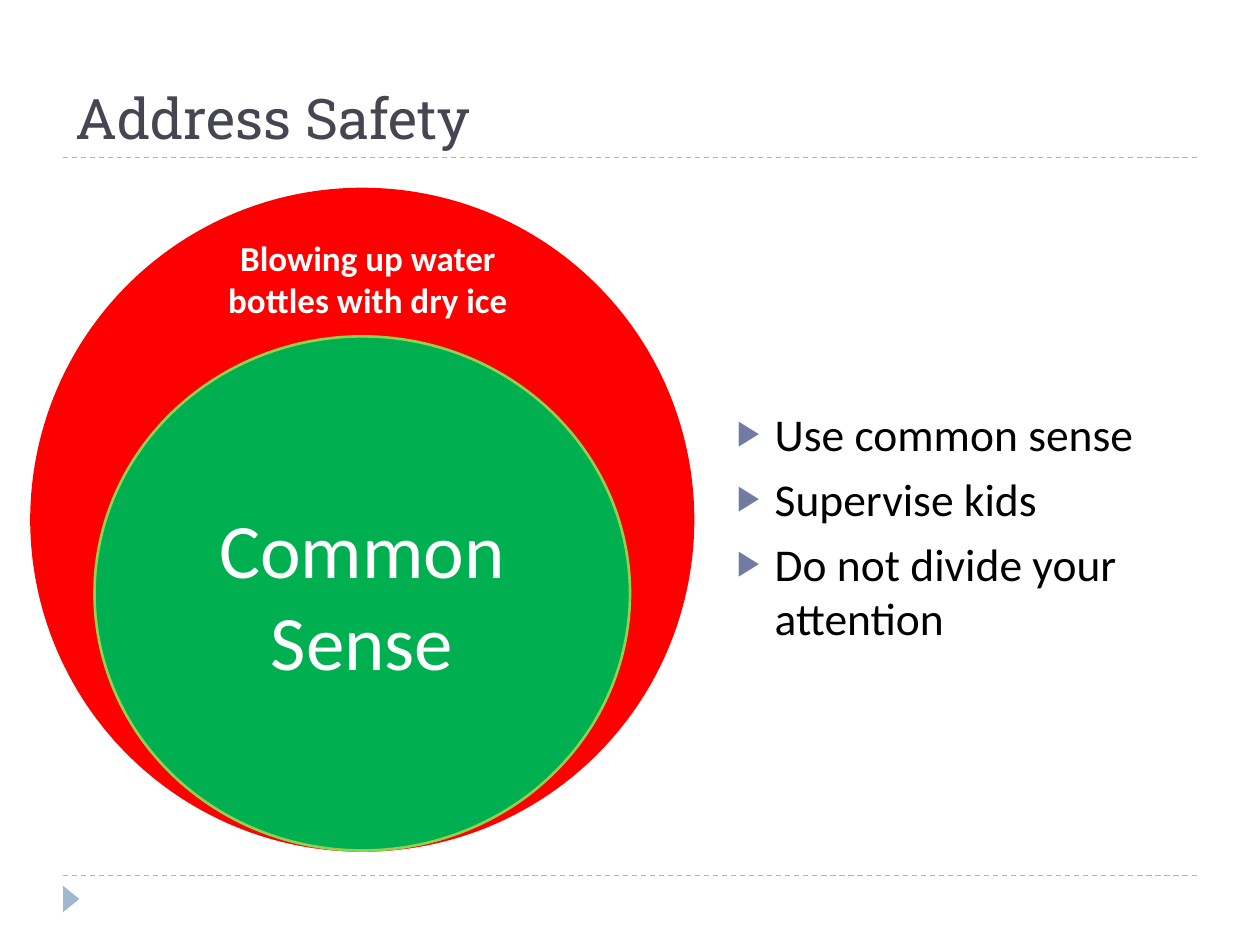
from dataclasses import dataclass
from typing import Optional

from lxml import etree
from pptx import Presentation
from pptx.dml.color import RGBColor
from pptx.enum.dml import MSO_LINE
from pptx.enum.shapes import MSO_CONNECTOR, MSO_SHAPE
from pptx.enum.text import MSO_ANCHOR, PP_ALIGN
from pptx.oxml.ns import qn
from pptx.util import Inches, Pt

LEFT, CENTER = PP_ALIGN.LEFT, PP_ALIGN.CENTER
TOP, MIDDLE, BOTTOM = MSO_ANCHOR.TOP, MSO_ANCHOR.MIDDLE, MSO_ANCHOR.BOTTOM
OVAL, TRIANGLE = MSO_SHAPE.OVAL, MSO_SHAPE.ISOSCELES_TRIANGLE
BODY_FONT, TITLE_FONT = "Calibri", "Roboto Slab"
RULE_COLOR, WHITE = "9FB8CD", "FFFFFF"


@dataclass
class Box:
    left: float
    top: float
    width: float
    height: float

    def emu(self) -> tuple:
        return tuple(Inches(v) for v in (self.left, self.top, self.width, self.height))


@dataclass
class Circle:
    box: Box
    fill: str
    line: str


def rgb(color: str) -> RGBColor:
    return RGBColor.from_string(color)


def write(tf, *lines: str, size: float, color: str, font: str = BODY_FONT,
          bold: bool = False, align=LEFT, anchor=TOP) -> None:
    """Put one paragraph per line into a text frame."""
    tf.word_wrap = True
    tf.vertical_anchor = anchor
    for i, line in enumerate(lines):
        p = tf.paragraphs[0] if i == 0 else tf.add_paragraph()
        p.alignment = align
        r = p.add_run()
        r.text = line
        r.font.name, r.font.size, r.font.bold = font, Pt(size), bold
        r.font.color.rgb = rgb(color)


def add_bullet(p, char: str, color: str, percent: int, indent: float) -> None:
    pPr = p._p.get_or_add_pPr()
    pPr.set("marL", str(Inches(indent)))
    pPr.set("indent", str(-Inches(indent)))
    bu_color = etree.SubElement(pPr, qn("a:buClr"))
    etree.SubElement(bu_color, qn("a:srgbClr"), val=color)
    etree.SubElement(pPr, qn("a:buSzPct"), val=str(percent * 1000))
    etree.SubElement(pPr, qn("a:buFont"), typeface="Arial")
    etree.SubElement(pPr, qn("a:buChar"), char=char)


def add_rule(s, y: float) -> None:
    rule = s.shapes.add_connector(MSO_CONNECTOR.STRAIGHT, Inches(0.5), Inches(y),
                                  Inches(9.5), Inches(y))
    rule.line.color.rgb = rgb(RULE_COLOR)
    rule.line.width = Pt(0.75)
    rule.line.dash_style = MSO_LINE.DASH
    etree.SubElement(rule._element.spPr, qn("a:effectLst"))


def add_shape(s, kind, box: Box, fill: str, line: Optional[str] = None):
    sp = s.shapes.add_shape(kind, *box.emu())
    sp.shadow.inherit = False
    sp.fill.solid()
    sp.fill.fore_color.rgb = rgb(fill)
    if line:
        sp.line.color.rgb = rgb(line)
        sp.line.width = Pt(1.5)
    else:
        sp.line.fill.background()
    return sp


def main() -> None:
    prs = Presentation()
    prs.slide_width, prs.slide_height = Inches(10), Inches(7.5)
    s = prs.slides.add_slide(prs.slide_layouts[5])

    # Dashed rules and footer marker
    for y in (6.95, 1.25):
        add_rule(s, y)
    marker = add_shape(s, TRIANGLE, Box(0.46, 7.07, 0.21, 0.13), RULE_COLOR)
    marker.rotation = 90

    # Title
    title = s.shapes.title
    title.left, title.top, title.width, title.height = Box(0.5, 0.25, 9, 1).emu()
    write(title.text_frame, "Address Safety", size=32, color="464653",
          font=TITLE_FONT, anchor=BOTTOM)

    # Nested circles, outer one first
    outer = Circle(Box(0.25, 1.5, 5.25, 5.25), "FF0000", "FF0000")
    inner = Circle(Box(0.75, 2.67, 4.25, 4.08), "00B050", "92D050")
    _, core = [add_shape(s, OVAL, c.box, c.fill, c.line) for c in (outer, inner)]
    write(core.text_frame, "Common Sense", size=44, color=WHITE,
          align=CENTER, anchor=MIDDLE)
    caption = s.shapes.add_textbox(*Box(1.42, 1.83, 3, 0.77).emu())
    write(caption.text_frame, "Blowing up water bottles with dry ice", size=20,
          color=WHITE, bold=True, align=CENTER)

    # Safety advice
    advice = s.shapes.add_textbox(*Box(5.75, 3.17, 3.92, 3.56).emu())
    tf = advice.text_frame
    write(tf, "Use common sense", "Supervise kids", "Do not divide your attention",
          size=26, color="000000")
    for p in tf.paragraphs:
        p.space_before = Pt(6)
        add_bullet(p, "▶", color="727CA3", percent=76, indent=0.3)

    prs.save("out.pptx")


if __name__ == "__main__":
    main()
